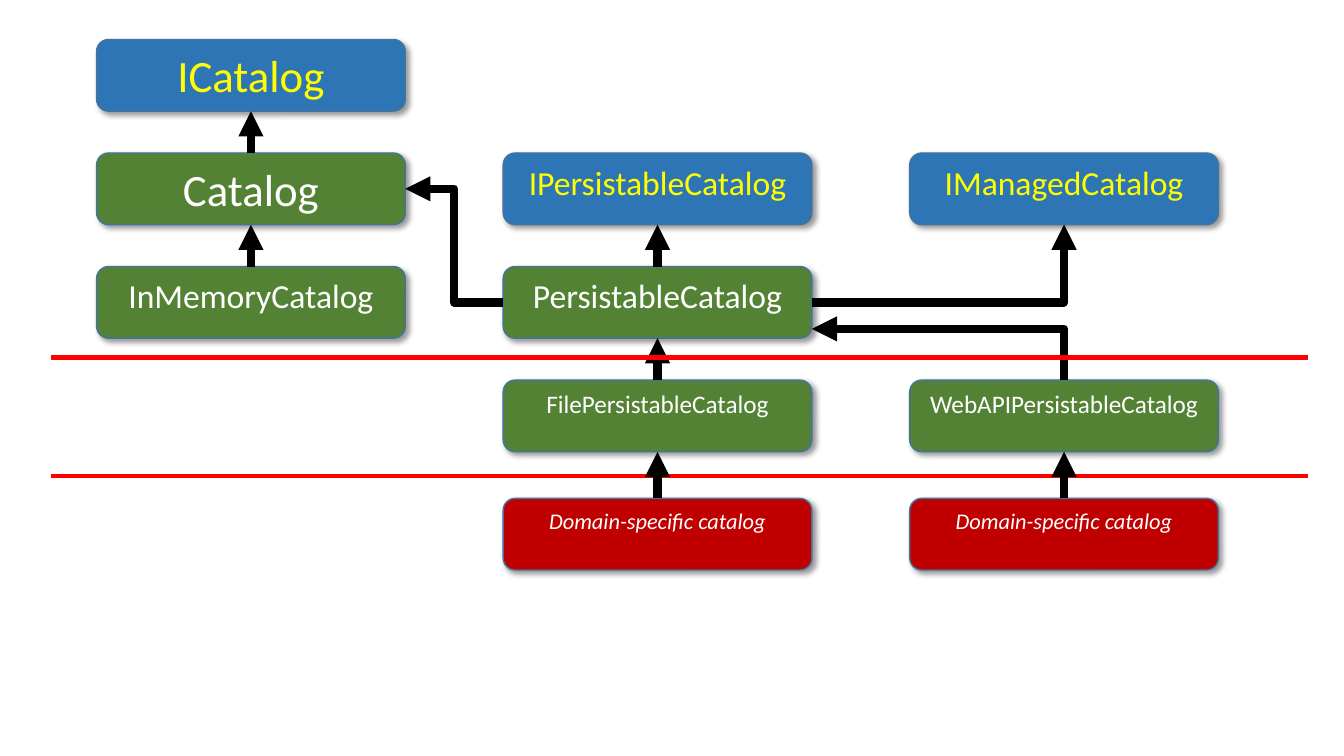
from collections import namedtuple
from lxml.etree import SubElement
from pptx import Presentation
from pptx.dml.color import RGBColor
from pptx.enum.shapes import MSO_CONNECTOR, MSO_SHAPE
from pptx.enum.text import MSO_ANCHOR, PP_ALIGN
from pptx.oxml.ns import qn
from pptx.util import Pt

INTERFACE_BLUE = RGBColor(0x2E, 0x75, 0xB6)
CLASS_GREEN = RGBColor(0x54, 0x82, 0x35)
DOMAIN_RED = RGBColor(0xC0, 0x00, 0x00)
BORDER_BLUE = RGBColor(0x43, 0x73, 0x9E)
YELLOW = RGBColor(0xFF, 0xFF, 0x00)
WHITE = RGBColor(0xFF, 0xFF, 0xFF)
BLACK = RGBColor(0x00, 0x00, 0x00)
RED = RGBColor(0xFF, 0x00, 0x00)

Box = namedtuple("Box", "left top width height")
Style = namedtuple("Style", "fill text italic")
INTERFACE = Style(INTERFACE_BLUE, YELLOW, False)
CLASS = Style(CLASS_GREEN, WHITE, False)
DOMAIN = Style(DOMAIN_RED, WHITE, True)

TOP, LEFT, BOTTOM, RIGHT = range(4)
CARD_WIDTH, CARD_HEIGHT = 220.5, 51.2
COLUMN_STEP = 290.4
ROW_TOPS = (0, 81.1, 162.2, 243.3, 327.8)

CARDS = {
    (0, 0): ("ICatalog", 32, INTERFACE),
    (0, 1): ("Catalog", 32, CLASS),
    (0, 2): ("InMemoryCatalog", 24, CLASS),
    (1, 1): ("IPersistableCatalog", 24, INTERFACE),
    (1, 2): ("PersistableCatalog", 24, CLASS),
    (1, 3): ("FilePersistableCatalog", 18, CLASS),
    (1, 4): ("Domain-specific catalog", 16, DOMAIN),
    (2, 1): ("IManagedCatalog", 24, INTERFACE),
    (2, 3): ("WebAPIPersistableCatalog", 18, CLASS),
    (2, 4): ("Domain-specific catalog", 16, DOMAIN),
}
UPWARD_LINKS = [(0, 1), (0, 2), (1, 2), (1, 3)]
DOMAIN_LINKS = [(1, 4), (2, 4)]


def add_shadow(card):
    card.shadow.inherit = False
    effects = card._element.spPr.find(qn("a:effectLst"))
    shadow = SubElement(effects, qn("a:outerShdw"), blurRad=str(Pt(4)),
                        dist=str(Pt(3)), dir="2700000", algn="tl", rotWithShape="0")
    tint = SubElement(shadow, qn("a:srgbClr"), val=str(BLACK))
    SubElement(tint, qn("a:alpha"), val="40000")


def add_card(slide, box, label, size, style):
    card = slide.shapes.add_shape(MSO_SHAPE.ROUNDED_RECTANGLE, *map(Pt, box))
    card.fill.solid()
    card.fill.fore_color.rgb = style.fill
    card.line.color.rgb = BORDER_BLUE
    card.line.width = Pt(1)
    add_shadow(card)
    frame = card.text_frame
    frame.text = label
    frame.word_wrap = True
    frame.vertical_anchor = MSO_ANCHOR.TOP
    frame.paragraphs[0].alignment = PP_ALIGN.CENTER
    font = frame.paragraphs[0].runs[0].font
    font.name = "Calibri"
    font.size = Pt(size)
    font.italic = style.italic
    font.color.rgb = style.text
    return card


def add_line(slide, kind, start, end, color, width, arrow=None):
    line = slide.shapes.add_connector(kind, *map(Pt, start + end))
    line.line.color.rgb = color
    line.line.width = Pt(width)
    if arrow:
        SubElement(line.line._get_or_add_ln(), qn(arrow), type="triangle")
    SubElement(line._element.spPr, qn("a:effectLst"))
    return line


def make_single_bend(line):
    line._element.spPr.find(qn("a:prstGeom")).set("prst", "bentConnector2")


def link(slide, child, child_site, parent, parent_site, kind=MSO_CONNECTOR.STRAIGHT):
    arrow = add_line(slide, kind, (0, 0), (0, 0), BLACK, 6, "a:tailEnd")
    arrow.begin_connect(child, child_site)
    arrow.end_connect(parent, parent_site)
    return arrow


def link_upward(slide, cards, places):
    for column, row in places:
        link(slide, cards[column, row], TOP, cards[column, row - 1], BOTTOM)


def add_layer_borders(slide, box):
    for y in (box.top, box.top + box.height):
        add_line(slide, MSO_CONNECTOR.STRAIGHT, (box.left, y),
                 (box.left + box.width, y), RED, 3)


def add_hierarchy(slide, box):
    def card_box(column, row):
        return Box(box.left + column * COLUMN_STEP, box.top + ROW_TOPS[row],
                   CARD_WIDTH, CARD_HEIGHT)

    cards = {place: add_card(slide, card_box(*place), *content)
             for place, content in CARDS.items()}
    persistable = cards[1, 2]
    link_upward(slide, cards, UPWARD_LINKS)
    link(slide, persistable, LEFT, cards[0, 1], RIGHT, MSO_CONNECTOR.ELBOW)
    make_single_bend(link(slide, persistable, RIGHT, cards[2, 1], BOTTOM,
                          MSO_CONNECTOR.ELBOW))

    target, web = card_box(1, 2), card_box(2, 3)
    web_link = add_line(slide, MSO_CONNECTOR.ELBOW,
                        (target.left + target.width, target.top + 44.5),
                        (web.left + web.width / 2, web.top), BLACK, 6, "a:headEnd")
    make_single_bend(web_link)

    add_layer_borders(slide, Box(box.left - 32.4, box.top + 227.2, box.width, 84.6))
    link_upward(slide, cards, DOMAIN_LINKS)


deck = Presentation()
deck.slide_width, deck.slide_height = Pt(960), Pt(540)
catalog_slide = deck.slides.add_slide(deck.slide_layouts[6])
add_hierarchy(catalog_slide, Box(69, 28.2, 898, 379))
deck.save("out.pptx")
